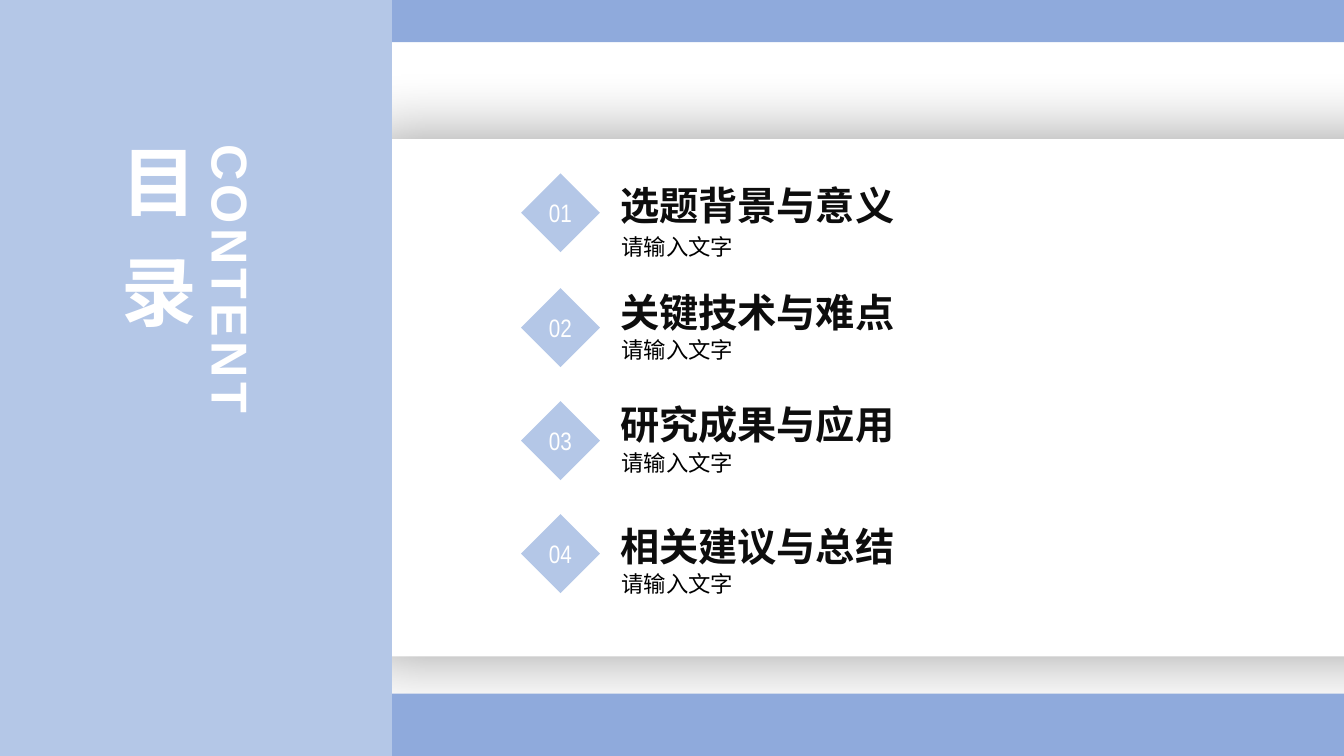
from lxml.etree import SubElement
from pptx import Presentation
from pptx.dml.color import RGBColor
from pptx.enum.shapes import MSO_SHAPE
from pptx.enum.text import MSO_ANCHOR, MSO_AUTO_SIZE, PP_ALIGN
from pptx.oxml.ns import qn
from pptx.util import Pt

COLORS = {"band": "8FAADC", "panel": "B4C7E7", "white": "FFFFFF",
          "head": "0D0D0D", "note": "000000"}
CJK = "Noto Sans CJK SC"

# number, heading, note, then tops of diamond, heading and note
ITEMS = [
    ("01", "选题背景与意义", "请输入文字", 123.8, 141.1, 159.8),
    ("02", "关键技术与难点", "请输入文字", 205.9, 217.4, 233.3),
    ("03", "研究成果与应用", "请输入文字", 286.6, 297.4, 313.9),
    ("04", "相关建议与总结", "请输入文字", 367.2, 384.5, 400.3),
]
CARD = (255.6, 99.4, 858.2, 369.4)
BANDS = [(-6.5, 0, 972.7, 30.2), (-6.5, 495.4, 972.7, 46.8)]
PANEL = (0, 0, 280, 542.2)
TITLE = (85.7, 99.4, 108.7, 241.2)

# text, size, letter spacing
WORDS = [("CONTENT", 36, 3), ("目", 54, 24.5), ("录", 54, 0)]
STYLES = {
    "title": {"name": "Arial", "bold": True},
    "num": {"name": "Arial Narrow", "size": Pt(18)},
    "head": {"name": CJK, "size": Pt(28), "bold": True},
    "note": {"name": CJK, "size": Pt(16)},
}
FRAME = {"margin_left": 0, "margin_right": 0, "margin_top": 0,
         "margin_bottom": 0, "auto_size": MSO_AUTO_SIZE.NONE}
INDENT = Pt(28)


def put(item, values):
    for key, value in values.items():
        setattr(item, key, value)


def color(name):
    return RGBColor.from_string(COLORS[name])


def style(run, kind, tint):
    put(run.font, STYLES[kind])
    run.font.color.rgb = color(tint)
    SubElement(run.font._element, qn("a:ea"), typeface=CJK)


def block(slide, kind, area, tint):
    shape = slide.shapes.add_shape(kind, *map(Pt, area))
    shape.shadow.inherit = False
    shape.fill.solid()
    shape.fill.fore_color.rgb = color(tint)
    shape.line.fill.background()
    return shape


def shade(shape):
    """Add a soft shadow around the shape."""
    effects = shape._element.spPr.find(qn("a:effectLst"))
    outer = SubElement(effects, qn("a:outerShdw"), blurRad=str(Pt(51)),
                       dist=str(Pt(3)), dir="0", algn="ctr", rotWithShape="0")
    tone = SubElement(outer, qn("a:srgbClr"), val=COLORS["note"])
    SubElement(tone, qn("a:alpha"), val="40000")


def write(shape, text, kind, tint, frame, para):
    body = shape.text_frame
    put(body, {**FRAME, **frame})
    line = body.paragraphs[0]
    put(line, para)
    run = line.add_run()
    run.text = text
    style(run, kind, tint)


def label(slide, area, text, kind, frame, para):
    box = slide.shapes.add_textbox(*map(Pt, area))
    write(box, text, kind, kind, {"margin_left": INDENT, **frame}, para)


def head(slide):
    """Turn the title placeholder into the vertical heading."""
    title = slide.shapes.title
    put(title, dict(zip(("left", "top", "width", "height"), map(Pt, TITLE))))
    body = title.text_frame
    put(body, {"auto_size": MSO_AUTO_SIZE.NONE, "word_wrap": True,
               "vertical_anchor": MSO_ANCHOR.TOP})
    body._txBody.bodyPr.set("vert", "eaVert")
    line = body.paragraphs[0]
    line.alignment = PP_ALIGN.LEFT
    for index, (text, size, gap) in enumerate(WORDS):
        if index == 1:
            line.add_line_break()
        run = line.add_run()
        run.text = text
        style(run, "title", "white")
        run.font.size = Pt(size)
        run.font._element.set("spc", str(int(gap * 100)))
    slide.shapes._spTree.append(title._element)


def main():
    deck = Presentation()
    put(deck, {"slide_width": Pt(960), "slide_height": Pt(540)})
    slide = deck.slides.add_slide(deck.slide_layouts[5])

    shade(block(slide, MSO_SHAPE.RECTANGLE, CARD, "white"))
    for area in BANDS:
        block(slide, MSO_SHAPE.RECTANGLE, area, "band")
    block(slide, MSO_SHAPE.RECTANGLE, PANEL, "panel")
    head(slide)

    middle = {"vertical_anchor": MSO_ANCHOR.MIDDLE}
    for num, text, note, top, upper, lower in ITEMS:
        mark = block(slide, MSO_SHAPE.DIAMOND, (372.2, top, 56.4, 56.4), "panel")
        write(mark, num, "num", "white", {**middle, "word_wrap": False},
              {"alignment": PP_ALIGN.CENTER})
        label(slide, (415, upper, 358.6, 22), text, "head",
              {"vertical_anchor": MSO_ANCHOR.BOTTOM, "word_wrap": False},
              {"alignment": PP_ALIGN.LEFT})
        label(slide, (416, lower, 450, 28.8), note, "note",
              {**middle, "word_wrap": True}, {"line_spacing": 1.2})

    deck.save("out.pptx")


if __name__ == "__main__":
    main()
